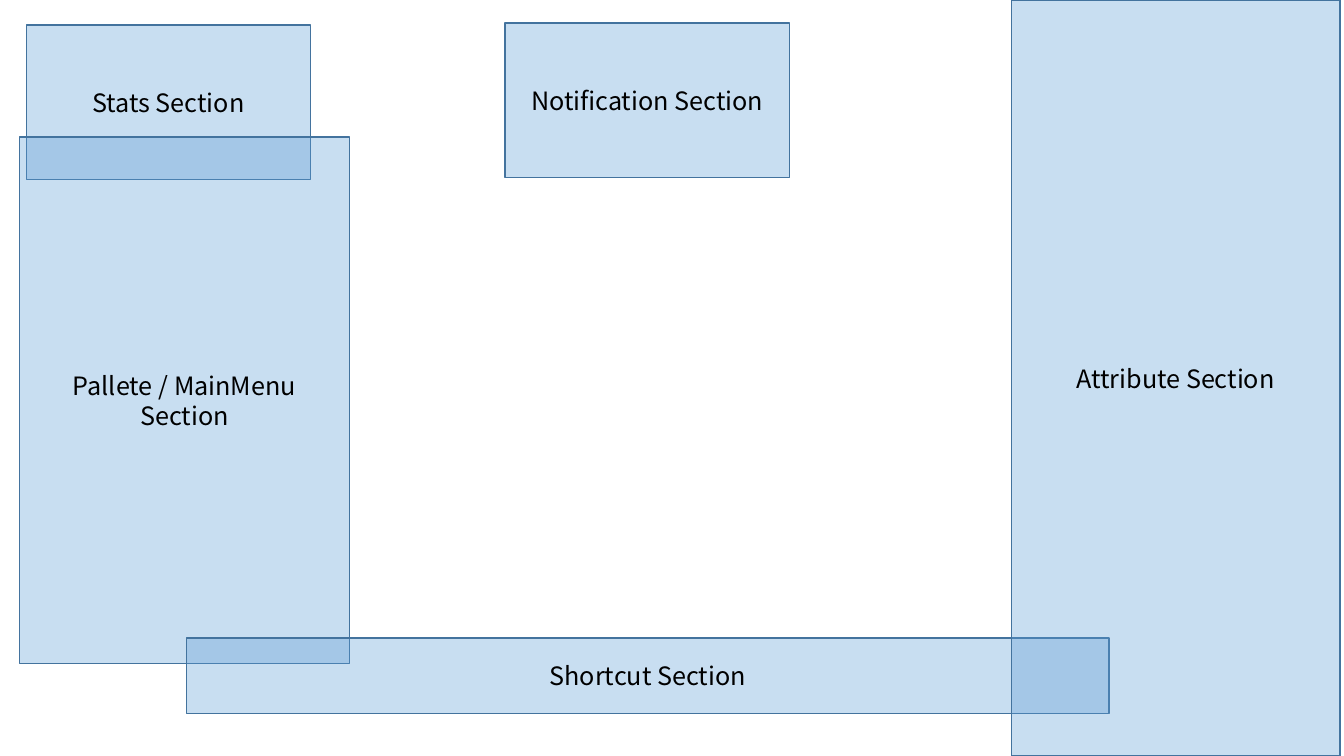
import pptx
import pptx.dml.color
import pptx.enum.shapes
import pptx.enum.text
import pptx.oxml
import pptx.oxml.ns
import pptx.util

BLUE = pptx.dml.color.RGBColor(0x5B, 0x9B, 0xD5)
EDGE = pptx.dml.color.RGBColor(0x43, 0x73, 0x9E)
BLACK = pptx.dml.color.RGBColor(0, 0, 0)
FONT = "Noto Sans CJK KR"
OPACITY = 33
CARD = (21.15, 20.4)
SECTIONS = [
    ("Stats Section", (1.95, 3.33, *CARD)),
    ("Pallete / MainMenu Section", (1.43, 18.13, 24.6, 69.6)),
    ("Shortcut Section", (13.88, 84.4, 68.64, 10)),
    ("Attribute Section", (75.24, 0, 24.46, 100)),
    ("Notification Section", (37.58, 3.07, *CARD)),
]


def write_text(sp, text, size=18, color=BLACK, font=FONT):
    """Write centred, wrapped text into a shape."""
    tf = sp.text_frame
    tf.word_wrap = True
    tf.vertical_anchor = pptx.enum.text.MSO_ANCHOR.MIDDLE
    p = tf.paragraphs[0]
    p.alignment = pptx.enum.text.PP_ALIGN.CENTER
    r = p.add_run()
    r.text = text
    r.font.size = pptx.util.Pt(size)
    r.font.name = font
    r.font.color.rgb = color


def add_section(slide, text, box):
    """Draw one translucent labelled section in the given box."""
    sp = slide.shapes.add_shape(pptx.enum.shapes.MSO_SHAPE.RECTANGLE, *box)
    sp.shadow.inherit = False
    sp.fill.solid()
    sp.fill.fore_color.rgb = BLUE
    color = sp.fill._xPr.find(".//" + pptx.oxml.ns.qn("a:srgbClr"))
    alpha = pptx.oxml.parse_xml(
        f'<a:alpha {pptx.oxml.ns.nsdecls("a")} val="{OPACITY * 1000}"/>')
    color.append(alpha)
    sp.line.color.rgb = EDGE
    sp.line.width = pptx.util.Pt(1)
    write_text(sp, text)


def add_screen_layout(slide, box):
    """Place every section by its percentages of the given box."""
    left, top, width, height = box
    for text, (x, y, w, h) in SECTIONS:
        add_section(slide, text, (
            round(left + width * x / 100), round(top + height * y / 100),
            round(width * w / 100), round(height * h / 100)))


prs = pptx.Presentation()
prs.slide_width = pptx.util.Inches(13.33)
prs.slide_height = pptx.util.Inches(7.5)
slide = prs.slides.add_slide(prs.slide_layouts[6])
add_screen_layout(slide, (0, 0, prs.slide_width, prs.slide_height))
prs.save("out.pptx")
